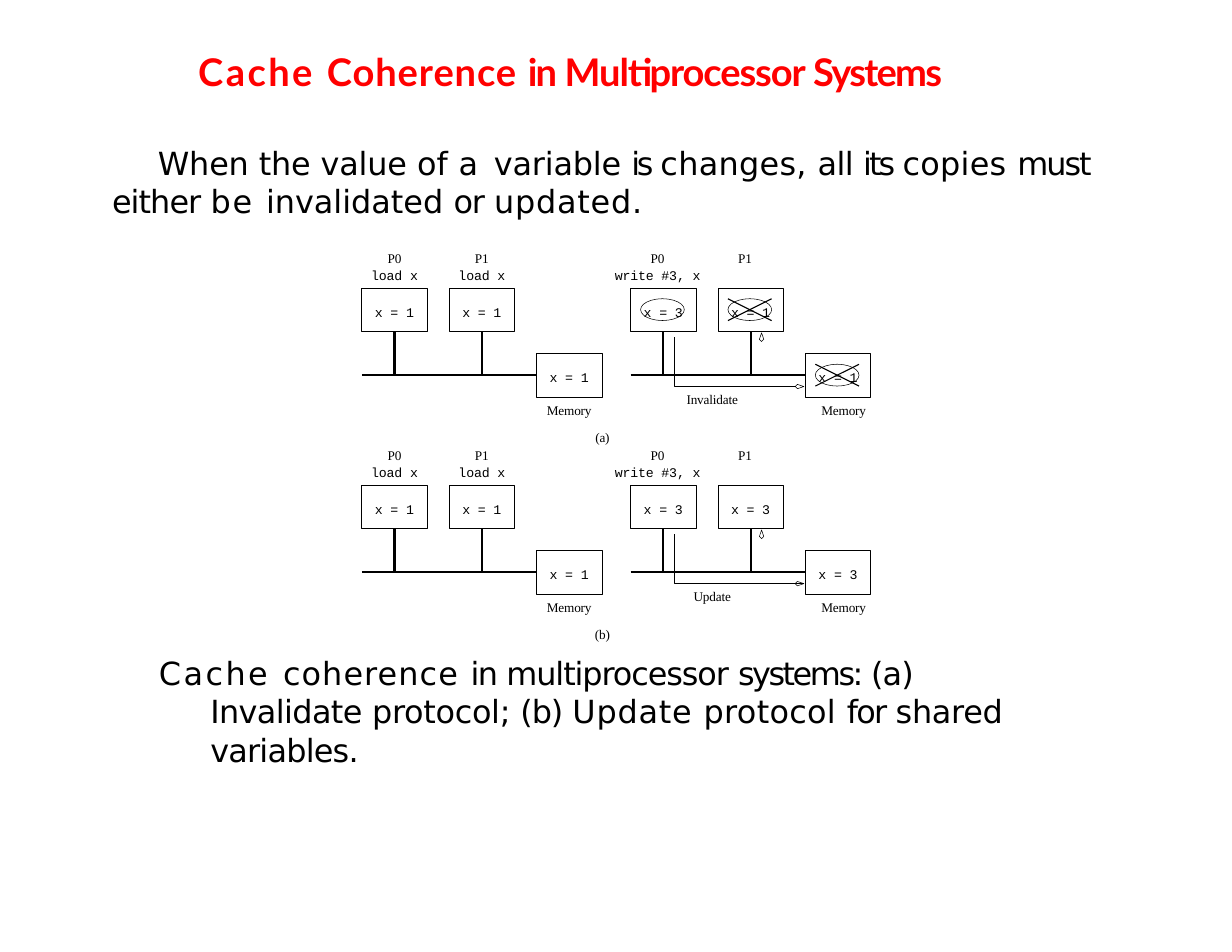
from pptx import Presentation
from pptx.dml.color import RGBColor
from pptx.enum.shapes import MSO_CONNECTOR as CONN, MSO_SHAPE as SHAPE
from pptx.enum.text import MSO_ANCHOR as ANCHOR, PP_ALIGN as ALIGN
from pptx.oxml.ns import qn
from pptx.util import Inches, Pt
from lxml.etree import SubElement

COLORS = {"ink": "000000", "title": "FF0000", "paper": "FFFFFF"}
SERIF, MONO, SANS, HEAD = "Times New Roman", "Courier New", "DejaVu Sans", "Lato"
THIN, CROSS, BUS = 0.35, 0.7, 1.41

# Diagram grid: one unit is the height of a box
UNIT = 0.39
BOX_W, PITCH = 1.5, 2
LEFTS, TOPS = (3.23, 5.63), (2.57, 4.33)

# Running text as (words, letter spacing in points)
TITLE = [("Cache ", 1.6), ("Coherence ", 0.6), ("in ", -1.1),
         ("Multiprocessor ", -0.7), ("Systems", -1.1)]
RULE = [("When the value ", -0.1), ("of ", 0.1), ("a ", 1.8), ("variable ", -0.1),
        ("is ", -2.1), ("changes, ", 0.2), ("all ", -0.4), ("its ", -1.9),
        ("copies ", 0.2), ("must ", -1.3), ("either ", -0.6), ("be ", 1.15),
        ("invalidated ", 0), ("or ", -0.8), ("updated.", 0.5)]
CAPTION = [("Cache ", 1.6), ("coherence ", 0.7), ("in ", -1.1), ("multiprocessor ", -0.7),
           ("systems: ", -1.6), ("(a) ", -0.6), ("Invalidate ", -0.4),
           ("protocol; ", -0.2), ("(b) ", -0.7), ("Update ", 0.5), ("protocol ", 0.2),
           ("for ", -1.1), ("shared ", -0.2), ("variables.", -0.5)]


class Diagram:
    def __init__(self, prs):
        self.prs = prs
        self.slide = prs.slides.add_slide(prs.slide_layouts[6])
        self.shapes = self.slide.shapes
        self.origin = (0, 0)

    def at(self, col, row):
        """Turn grid units from the current panel's corner into lengths."""
        x, y = self.origin
        return Inches(x + col * UNIT), Inches(y + row * UNIT)

    def size(self, cols, rows):
        return Inches(cols * UNIT), Inches(rows * UNIT)

    def color(self, name):
        return RGBColor.from_string(COLORS[name])

    def outline(self, sp, width, fill=None):
        sp.shadow.inherit = False
        sp.line.color.rgb = self.color("ink")
        sp.line.width = Pt(width)
        if fill:
            sp.fill.solid()
            sp.fill.fore_color.rgb = self.color(fill)
        else:
            sp.fill.background()

    def frame(self, sp, anchor=ANCHOR.TOP):
        tf = sp.text_frame
        tf.word_wrap = True
        tf.vertical_anchor = anchor
        tf.margin_left = tf.margin_right = tf.margin_top = tf.margin_bottom = 0
        return tf

    def font(self, p, name, size, color="ink", bold=False):
        p.font.name, p.font.size, p.font.bold = name, Pt(size), bold
        p.font.color.rgb = self.color(color)

    def track(self, r, spacing):
        """Set letter spacing in points."""
        r._r.get_or_add_rPr().set("spc", str(round(spacing * 100)))

    def running_text(self, x, y, w, h, words, font, margin=0, indent=0):
        """Add spaced text; the place is given as shares of the slide."""
        W, H = self.prs.slide_width, self.prs.slide_height
        sp = self.shapes.add_textbox(int(x * W), int(y * H), int(w * W), int(h * H))
        p = self.frame(sp).paragraphs[0]
        pPr = p._p.get_or_add_pPr()
        pPr.set("marL", str(Inches(margin)))
        pPr.set("indent", str(Inches(indent)))
        p.line_spacing = 1.01
        self.font(p, *font)
        for text, spacing in words:
            r = p.add_run()
            r.text = text
            self.track(r, spacing)

    def lines(self, tf, lines):
        """Fill a frame with centred (text, font) lines."""
        for i, (text, name) in enumerate(lines):
            p = tf.add_paragraph() if i else tf.paragraphs[0]
            p.alignment = ALIGN.CENTER
            if i:
                p.space_before = Pt(1.1)
            self.font(p, name, 8.5)
            r = p.add_run()
            r.text = text
            self.track(r, -0.1)

    def label(self, center, top, *lines):
        sp = self.shapes.add_textbox(*self.at(center - 1.25, top),
                                     *self.size(2.5, 0.4 * len(lines)))
        self.lines(self.frame(sp), lines)

    def box(self, col, row, text):
        sp = self.shapes.add_shape(SHAPE.RECTANGLE, *self.at(col, row), *self.size(BOX_W, 1))
        self.outline(sp, THIN)
        tf = self.frame(sp, ANCHOR.MIDDLE)
        tf.margin_top = Inches(0.04)
        self.lines(tf, [(text, MONO)])

    def line(self, start, end, width):
        cx = self.shapes.add_connector(CONN.STRAIGHT, *self.at(*start), *self.at(*end))
        cx.line.color.rgb = self.color("ink")
        cx.line.width = Pt(width)
        SubElement(cx._element.spPr, qn("a:effectLst"))

    def outline_path(self, points, closed, fill=None):
        first, *rest = [self.at(*pt) for pt in points]
        fb = self.shapes.build_freeform(*first, scale=1.0)
        fb.add_line_segments(rest, close=closed)
        self.outline(fb.convert_to_shape(), THIN, fill)

    def arrow_tip(self, col, row, dx, dy, fill=None):
        """Draw a kite whose point is at (col, row), heading along (dx, dy)."""
        kite = [(0, 0), (-0.15, 0.05), (-0.2, 0), (-0.15, -0.05)]
        points = [(col + a * dx - b * dy, row + a * dy + b * dx) for a, b in kite]
        self.outline_path(points, True, fill)

    def ring(self, col, row):
        sp = self.shapes.add_shape(SHAPE.OVAL, *self.at(col + 0.23, row + 0.25),
                                   *self.size(1, 0.5))
        self.outline(sp, THIN)

    def cross(self, col, row):
        left, right, top, bottom = col + 0.23, col + 1.23, row + 0.25, row + 0.75
        self.line((left, top), (right, bottom), CROSS)
        self.line((right, top), (left, bottom), CROSS)

    def panel(self, origin, headings, cells, memory_shift=0, heading_shift=0):
        """Draw two processors and the memory on a bus; cells are (text, mark)."""
        self.origin = origin
        for i, command in enumerate(headings):
            lines = [(f"P{i}", SERIF)] + ([(command, MONO)] if command else [])
            self.label(i * PITCH + BOX_W / 2 + heading_shift, -0.87, *lines)
        self.label(2 * PITCH + BOX_W / 2 + memory_shift, 2.62, ("Memory", SERIF))
        for i, (text, mark) in enumerate(cells):
            col, row = i * PITCH, 1.5 if i == 2 else 0
            self.box(col, row, text)
            if mark:
                self.ring(col, row)
            if mark == "stale":
                self.cross(col, row)
        for i in range(2):
            stem = i * PITCH + BOX_W / 2
            self.line((stem, 1), (stem, 2), BUS)
        self.line((0, 2), (2 * PITCH, 2), BUS)

    def message(self, name, tip_fill):
        """Draw the bus message sent from P0 to P1 and the memory."""
        self.outline_path([(1, 1.13), (1, 2.26), (3.97, 2.26)], False)
        self.arrow_tip(3.97, 2.26, 1, 0, tip_fill)
        self.arrow_tip(3, 1.03, 0, -1, "paper")
        self.label(1.87, 2.37, (name, SERIF))


def main():
    prs = Presentation()
    prs.slide_width, prs.slide_height = Inches(11), Inches(8.5)
    d = Diagram(prs)
    d.running_text(0.16, 0.05, 0.68, 0.05, TITLE, (HEAD, 24.5, "title", True), 0.01)
    d.running_text(0.09, 0.15, 0.82, 0.08, RULE, (SANS, 20.5), 0.01, 0.41)
    d.running_text(0.128, 0.686, 0.743, 0.12, CAPTION, (SANS, 20.5), 0.47, -0.46)

    protocols = [
        ("(a)", "Invalidate", "paper", [("x = 3", "new"), ("x = 1", "stale"), ("x = 1", "stale")]),
        ("(b)", "Update", None, [("x = 3", None)] * 3),
    ]
    for top, (tag, name, tip_fill, after) in zip(TOPS, protocols):
        d.panel((LEFTS[0], top), ["load x", "load x"], [("x = 1", None)] * 3)
        d.label(5.51, 3.23, (tag, SERIF))
        d.panel((LEFTS[1], top), ["write #3, x", None], after, 0.13, -0.13)
        d.message(name, tip_fill)
    prs.save("out.pptx")


if __name__ == "__main__":
    main()
